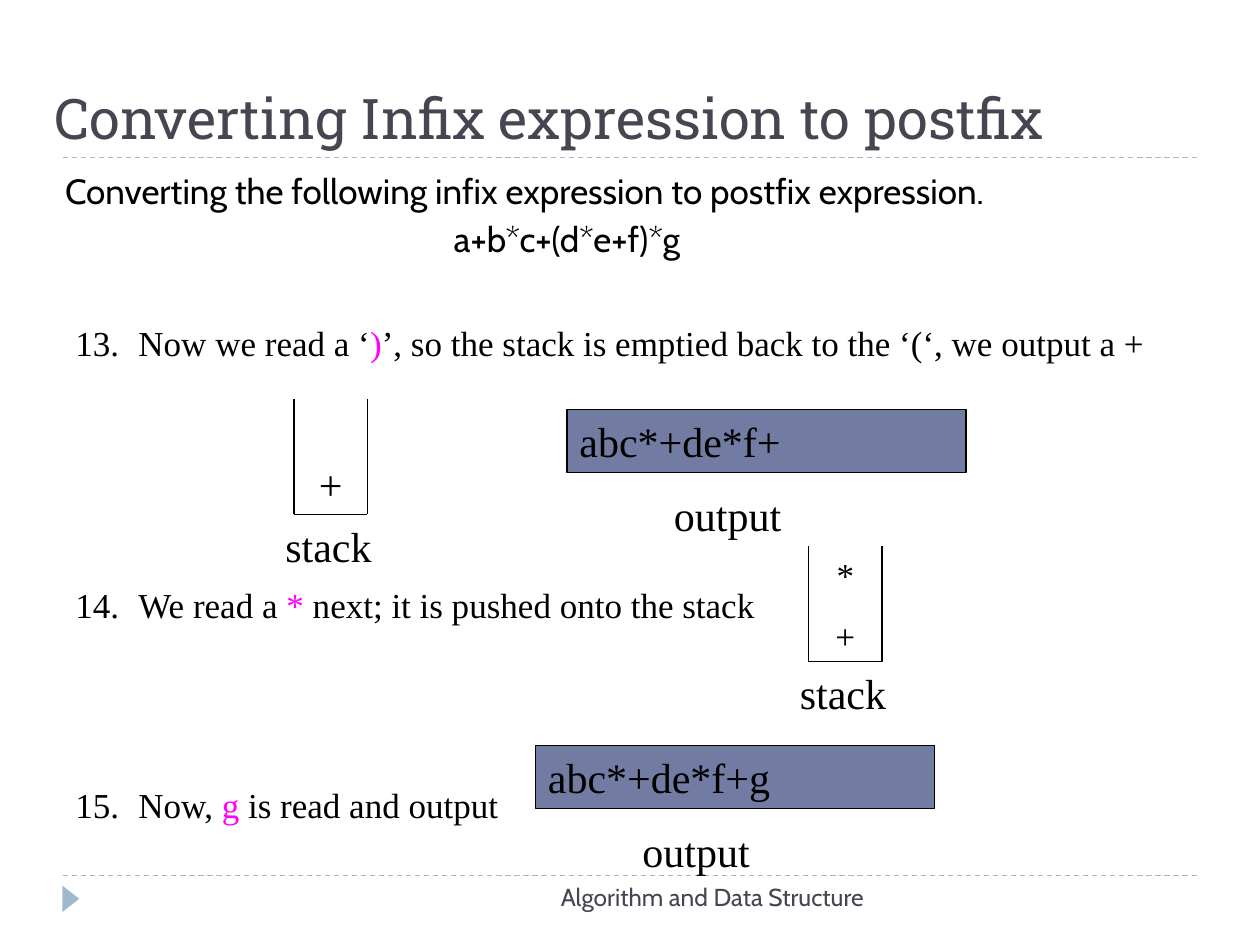
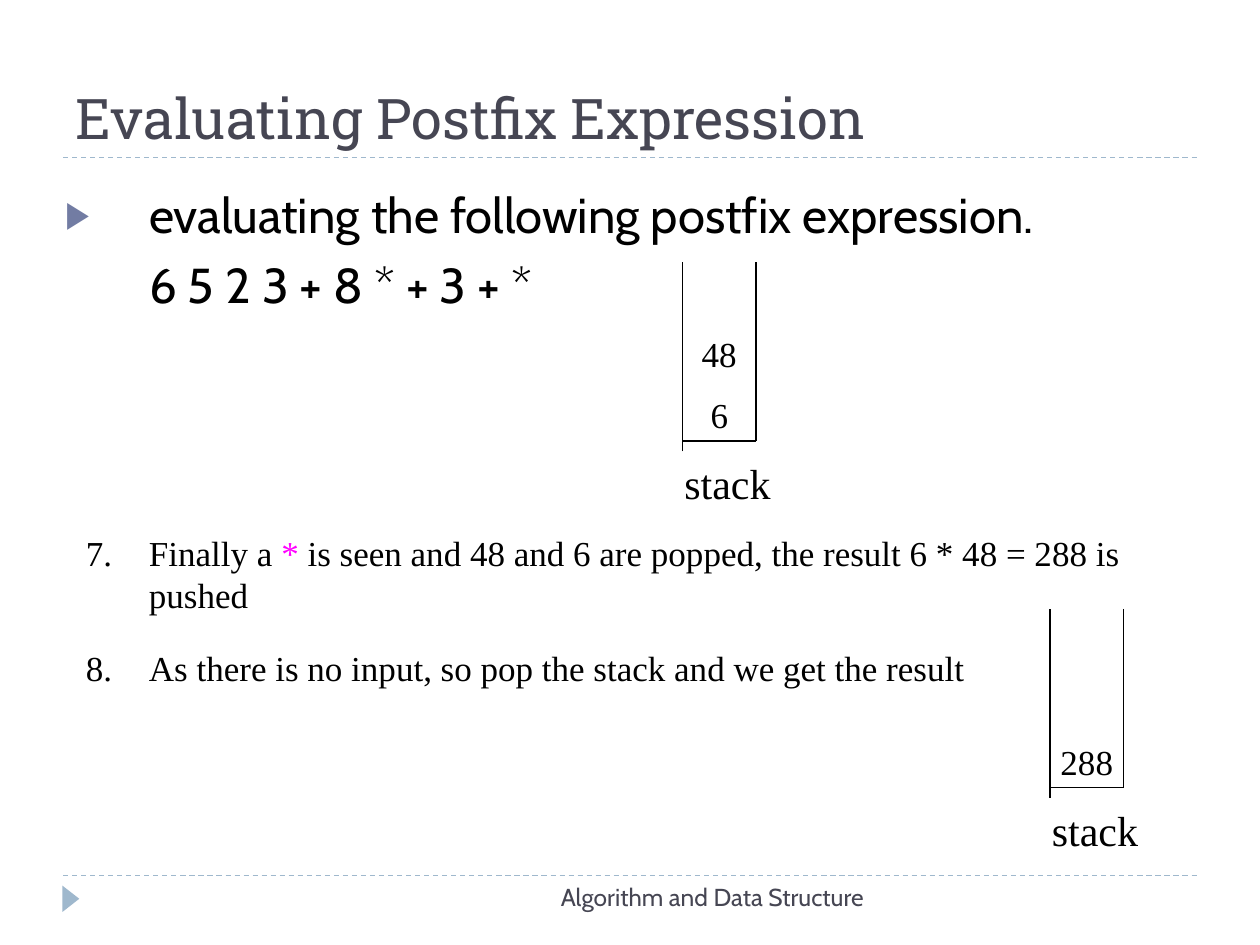
from dataclasses import dataclass

from lxml.etree import SubElement
from pptx import Presentation
from pptx.dml.color import RGBColor
from pptx.enum.dml import MSO_LINE
from pptx.enum.shapes import MSO_CONNECTOR, MSO_SHAPE
from pptx.enum.text import MSO_ANCHOR as Anchor
from pptx.enum.text import MSO_AUTO_SIZE as AutoSize
from pptx.enum.text import PP_ALIGN as Align
from pptx.oxml.ns import qn
from pptx.util import Pt

EMU_PER_PX = 7620


@dataclass(frozen=True)
class Theme:
    """Colours, fonts and type sizes of the deck."""
    ink: str = "000000"
    heading: str = "464653"
    rule: str = "9FB8CD"
    bar: str = "727CA3"
    accent: str = "FF00FF"
    title_font: str = "Roboto Slab"
    body_font: str = "Cabin"
    step_font: str = "Times New Roman"
    title_size: int = 32
    lead_size: int = 28
    label_size: int = 24
    step_size: int = 20
    footer_size: int = 14
    line_width: float = 0.75
    item_gap: int = 11


THEME = Theme()


def px(length):
    """Turn px into EMU."""
    return length * EMU_PER_PX


def apply(target, values):
    """Set each attribute named in a dict of values."""
    for name, value in values.items():
        setattr(target, name, value)


def colour(code):
    """Return the colour for a hex code."""
    return RGBColor.from_string(code)


def prepare(shape, anchor=Anchor.TOP):
    """Give a shape's text frame wrapping, fixed size and an anchor."""
    frame = shape.text_frame
    apply(frame, {"word_wrap": True, "auto_size": AutoSize.NONE,
                  "vertical_anchor": anchor})
    return frame


def set_bullet(para, margin, hang, tag, attributes=None, colour_code=None, percent=None):
    """Set a paragraph's indents and its bullet element."""
    properties = para._p.get_or_add_pPr()
    properties.set("marL", str(px(margin)))
    properties.set("indent", str(px(hang)))
    if colour_code:
        SubElement(SubElement(properties, qn("a:buClr")), qn("a:srgbClr"), val=colour_code)
    if percent:
        SubElement(properties, qn("a:buSzPct"), val=str(percent * 1000))
    SubElement(properties, qn(f"a:{tag}"), **(attributes or {}))


def write(para, text, font, size, code=THEME.ink, **layout):
    """Write a paragraph whose parts between bars take the accent colour."""
    apply(para, {"alignment": Align.LEFT, "space_before": Pt(0), **layout})
    for index, part in enumerate(text.split("|")):
        span = para.add_run()
        span.text = part
        apply(span.font, {"name": font, "size": Pt(size)})
        span.font.color.rgb = colour(THEME.accent if index % 2 else code)


def add_text(shapes, place, text, font=THEME.step_font, size=THEME.label_size,
             code=THEME.ink, **layout):
    """Add a one-paragraph text box and return its paragraph."""
    box = shapes.add_textbox(*map(px, place))
    para = prepare(box).paragraphs[0]
    write(para, text, font, size, code, **layout)
    return para


def add_line(shapes, start, end, code=THEME.ink, dash=None):
    """Draw a thin straight line between two points."""
    line = shapes.add_connector(MSO_CONNECTOR.STRAIGHT, *map(px, start + end))
    apply(line.line, {"width": Pt(THEME.line_width), "dash_style": dash})
    line.line.color.rgb = colour(code)
    SubElement(line.element.spPr, qn("a:effectLst"))


def add_solid(shapes, kind, place, code):
    """Add a filled preset shape without line or shadow."""
    shape = shapes.add_shape(kind, *map(px, place))
    shape.shadow.inherit = False
    shape.fill.solid()
    shape.fill.fore_color.rgb = colour(code)
    shape.line.fill.background()
    return shape


def add_page(deck, title, title_place, body_place):
    """Add a page with title, rules and footer, and return it with its body frame."""
    page = deck.slides.add_slide(deck.slide_layouts[1])
    heading, body = page.placeholders
    for holder, place in ((heading, title_place), (body, body_place)):
        apply(holder, dict(zip(("left", "top", "width", "height"), map(px, place))))
    frame = prepare(heading, Anchor.BOTTOM)
    write(frame.paragraphs[0], title, THEME.title_font, THEME.title_size, THEME.heading)
    for height in (834, 150):
        add_line(page.shapes, (60, height), (1140, height), THEME.rule, MSO_LINE.DASH)
    marker = add_solid(page.shapes, MSO_SHAPE.ISOSCELES_TRIANGLE, (55, 848, 25, 16), THEME.rule)
    marker.rotation = 90
    add_text(page.shapes, (380, 834, 460, 48), "Algorithm and Data Structure ",
             THEME.body_font, THEME.footer_size, THEME.heading, alignment=Align.RIGHT)
    return page, prepare(body)


def add_step(page, left, top, number, text, height=52):
    """Add a numbered step of the walk-through."""
    para = add_text(page.shapes, (left, top, 1060, height), text, size=THEME.step_size)
    set_bullet(para, 60, -60, "buAutoNum", {"type": "arabicPeriod", "startAt": str(number)})


def add_stack(page, left, top, bottom, items, size=THEME.step_size, tail=0):
    """Draw an open stack with its items at the bottom and its label below."""
    shapes = page.shapes.add_group_shape().shapes
    right = left + 70
    add_line(shapes, (left, bottom), (right, bottom))
    add_line(shapes, (right, top), (right, bottom))
    add_line(shapes, (left, bottom + tail), (left, top))
    box = shapes.add_textbox(*map(px, (left - 10, top, 90, bottom - top + 1)))
    frame = prepare(box, Anchor.BOTTOM)
    for index, item in enumerate(items):
        para = frame.add_paragraph() if index else frame.paragraphs[0]
        write(para, item, THEME.step_font, size, alignment=Align.CENTER,
              space_before=Pt(THEME.item_gap if index else 0))
    add_text(shapes, (left - 20 + tail, bottom + tail, 110, 60), "stack")


def add_output(page, left, top, text):
    """Draw the output bar with its label below."""
    shapes = page.shapes.add_group_shape().shapes
    bar = add_solid(shapes, MSO_SHAPE.RECTANGLE, (left, top, 380, 60), THEME.bar)
    bar.line.color.rgb = colour(THEME.ink)
    bar.line.width = Pt(THEME.line_width)
    write(prepare(bar).paragraphs[0], text, THEME.step_font, THEME.label_size)
    add_text(shapes, (left + 90, top + 70, 150, 60), "output")


def build_converting(deck):
    """Build the page on converting infix to postfix."""
    page, body = add_page(deck, "Converting Infix expression to postfix",
                          (40, 0, 1130, 150), (50, 160, 980, 160))
    lead, expression = body.paragraphs[0], body.add_paragraph()
    write(lead, "Converting the following infix expression to postfix expression.",
          THEME.body_font, THEME.step_size, line_spacing=0.9)
    write(expression, "a+b*c+(d*e+f)*g", THEME.body_font, THEME.step_size,
          line_spacing=0.9, space_before=Pt(6), alignment=Align.CENTER)
    for para in (lead, expression):
        set_bullet(para, 80, -80, "buNone")
    add_step(page, 60, 300, 13,
             "Now we read a ‘|)|’, so the stack is emptied back to the ‘(‘, we output a +")
    add_step(page, 60, 550, 14, "We read a |*| next; it is pushed onto the stack")
    add_output(page, 540, 390, "abc*+de*f+")
    add_stack(page, 280, 380, 490, ["+"], THEME.label_size)
    add_stack(page, 770, 520, 630, ["*", "+"])
    add_step(page, 60, 740, 15, "Now, |g| is read and output")
    add_output(page, 510, 710, "abc*+de*f+g")


def build_evaluating(deck):
    """Build the page on evaluating a postfix expression."""
    page, body = add_page(deck, "Evaluating Postfix Expression",
                          (60, 20, 1080, 130), (50, 170, 980, 160))
    lead, expression = body.paragraphs[0], body.add_paragraph()
    write(lead, "evaluating the following postfix expression.",
          THEME.body_font, THEME.lead_size)
    set_bullet(lead, 80, -80, "buChar", {"char": "▶"}, THEME.bar, 76)
    write(expression, "6 5 2 3 + 8 * + 3 + *", THEME.body_font, THEME.lead_size,
          space_before=Pt(6))
    set_bullet(expression, 80, 0, "buNone")
    add_step(page, 70, 500, 7, "Finally a |*| is seen and 48 and 6 are popped, "
             "the result 6 * 48 = 288 is pushed", 92)
    add_stack(page, 1000, 580, 750, ["288"], tail=10)
    add_stack(page, 650, 250, 420, ["48", "6"], tail=10)
    add_step(page, 70, 610, 8, "As there is no input, so pop the stack and we get the result")


def main():
    """Build and save the deck."""
    deck = Presentation()
    apply(deck, {"slide_width": px(1200), "slide_height": px(900)})
    build_converting(deck)
    build_evaluating(deck)
    deck.save("out.pptx")


if __name__ == "__main__":
    main()
